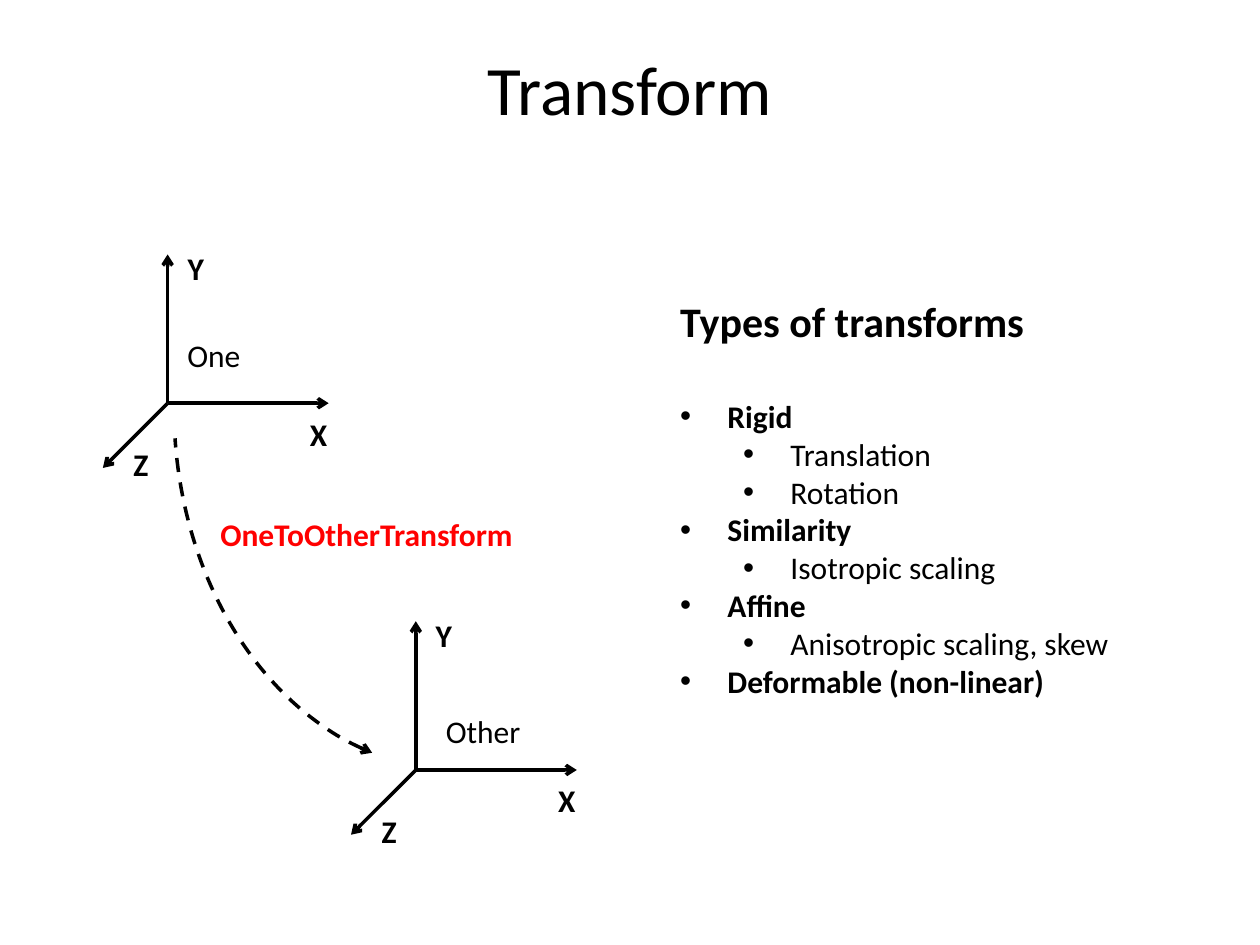
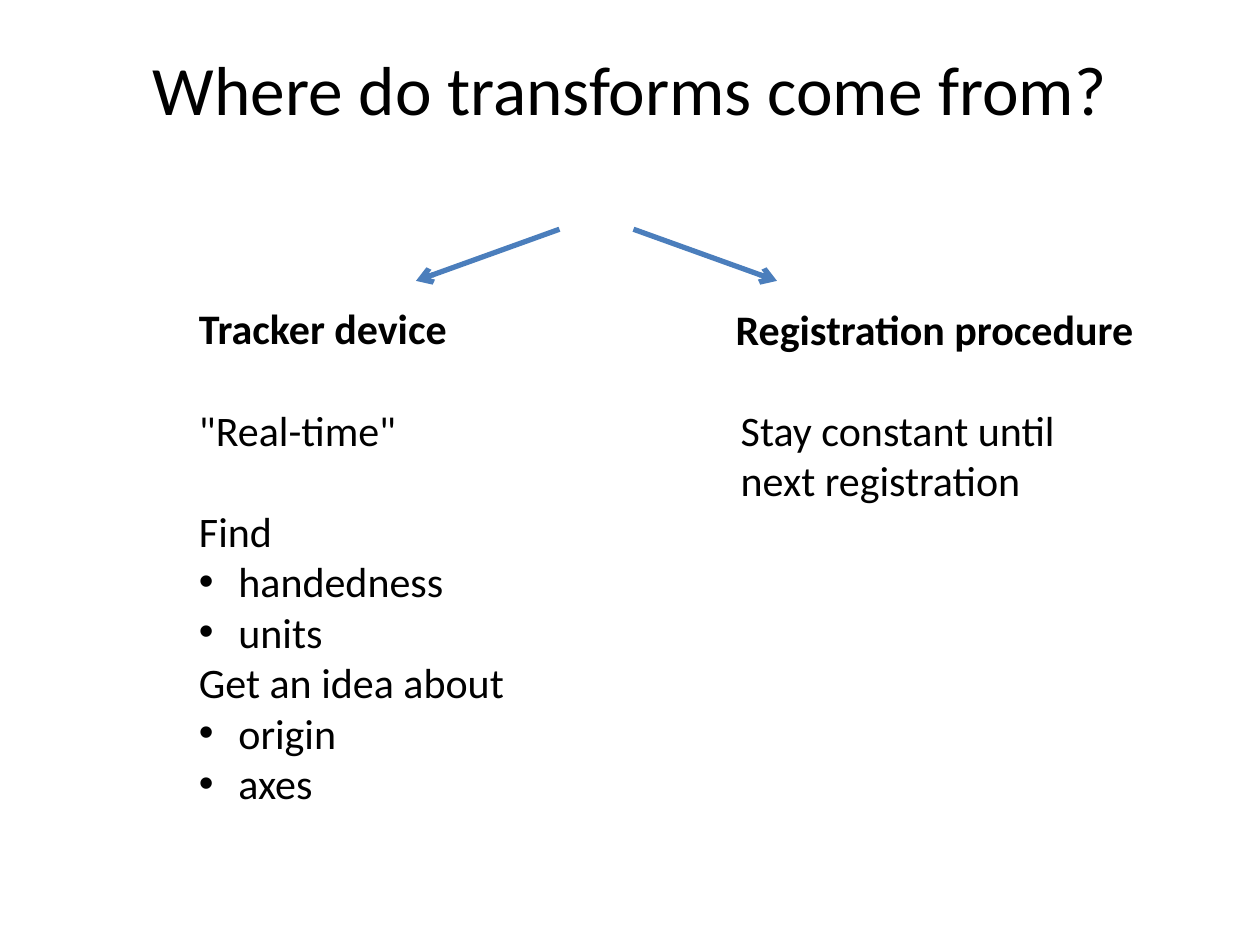
from lxml import etree
from pptx import Presentation
from pptx.dml.color import RGBColor
from pptx.enum import dml, shapes, text
from pptx.oxml import ns
from pptx.util import Pt

BLACK = RGBColor(0, 0, 0)
RED = RGBColor(255, 0, 0)
BLUE = RGBColor(0x4B, 0x7E, 0xBC)
FONT = "Calibri"
BODY, HEAD, TITLE = 18, 24, 39.6
GAP = 29


class Deck:
    def __init__(self):
        self.prs = Presentation()
        self.prs.slide_width = Pt(720)
        self.prs.slide_height = Pt(540)

    def page(self, title):
        self.slide = self.prs.slides.add_slide(self.prs.slide_layouts[6])
        frame = self.frame(36, 21.6, 648, 57, True)
        frame.vertical_anchor = text.MSO_ANCHOR.MIDDLE
        para = frame.paragraphs[0]
        para.alignment = text.PP_ALIGN.CENTER
        self.fill(para, title, TITLE)

    def frame(self, x, y, w, h, wrap=False):
        box = self.slide.shapes.add_textbox(Pt(x), Pt(y), Pt(w), Pt(h))
        box.text_frame.word_wrap = wrap
        return box.text_frame

    def fill(self, para, words, size, bold=False, color=BLACK):
        para.text = words
        font = para.font
        font.name, font.size, font.bold = FONT, Pt(size), bold
        font.color.rgb = color

    def label(self, words, x, y, w, h=28.8, size=BODY, bold=False,
              color=BLACK, wrap=False):
        frame = self.frame(x, y, w, h, wrap)
        self.fill(frame.paragraphs[0], words, size, bold, color)

    def bullet(self, para, left, hang):
        props = para._p.get_or_add_pPr()
        props.set("marL", str(Pt(left)))
        props.set("indent", str(-Pt(hang)))
        etree.SubElement(props, ns.qn("a:buFont")).set("typeface", "Arial")
        etree.SubElement(props, ns.qn("a:buChar")).set("char", "•")

    def items(self, x, y, w, h, rows, hang):
        frame = self.frame(x, y, w, h)
        for num, (words, size, bold, left, gap) in enumerate(rows):
            para = frame.add_paragraph() if num else frame.paragraphs[0]
            if left:
                self.bullet(para, left, hang)
                para.level = int(left > hang)
            if gap:
                para.space_before = Pt(gap)
            self.fill(para, words, size, bold)

    def tip(self, line, end):
        etree.SubElement(line.line._get_or_add_ln(), ns.qn(end)).set("type", "arrow")

    def arrow(self, x, y, dx, dy, color=BLACK, width=2):
        line = self.slide.shapes.add_connector(
            shapes.MSO_CONNECTOR.STRAIGHT, Pt(x), Pt(y), Pt(x + dx), Pt(y + dy))
        line.line.color.rgb = color
        line.line.width = Pt(width)
        self.tip(line, "a:tailEnd")
        etree.SubElement(line._element.spPr, ns.qn("a:effectLst"))

    def arc(self, x, y, w, h, start, end):
        arc = self.slide.shapes.add_shape(
            shapes.MSO_SHAPE.ARC, Pt(x), Pt(y), Pt(w), Pt(h))
        arc.adjustments[0], arc.adjustments[1] = start, end
        arc.shadow.inherit = False
        arc.fill.background()
        arc.line.color.rgb = BLACK
        arc.line.width = Pt(2)
        arc.line.dash_style = dml.MSO_LINE.DASH
        self.tip(arc, "a:headEnd")

    def axes(self, x, y):
        for dx, dy in ((0, -85), (92, 0), (-37, 37)):
            self.arrow(x, y, dx, dy)
        for name, dx, dy, w in (("X", 74.2, 3, 24.5), ("Y", 4.3, -91.4, 23.8),
                                ("Z", -26.6, 20.5, 23)):
            self.label(name, x + dx, y + dy, w, bold=True)


def kinds(deck):
    deck.page("Transform")
    deck.axes(95.8, 230.4)
    deck.axes(237.6, 440)
    deck.label("One", 100, 188.6, 45.4)
    deck.label("Other", 247.7, 403.2, 57.6)
    deck.arc(99.4, 25.2, 324.7, 414.7, 62.37, 104.2)
    deck.label("OneToOtherTransform", 118.8, 290.9, 182.9, bold=True, color=RED)
    hang, deep = 27, 63
    rows = [("Types of transforms", HEAD, True, 0, 0),
            ("Rigid", BODY, True, hang, GAP),
            ("Translation", BODY, False, deep, 0),
            ("Rotation", BODY, False, deep, 0),
            ("Similarity", BODY, True, hang, 0),
            ("Isotropic scaling", BODY, False, deep, 0),
            ("Affine", BODY, True, hang, 0),
            ("Anisotropic scaling, skew", BODY, False, deep, 0),
            ("Deformable (non-linear)", BODY, True, hang, 0)]
    deck.items(381.6, 165.6, 262, 239.8, rows, hang)


def origins(deck):
    deck.page("Where do transforms come from?")
    deck.label("Tracker device", 106.6, 169.2, 157.7, 36, HEAD, True)
    deck.label("Registration procedure", 413.3, 169.9, 244, 36, HEAD, True)
    for x, dx in ((319.7, -82), (362, 82)):
        deck.arrow(x, 131, dx, 29.5, BLUE, 3)
    hang = 22.5
    rows = [(words, HEAD, False, left, gap) for words, left, gap in (
        ('"Real-time"', 0, 0), ("Find", 0, GAP), ("handedness", hang, 0),
        ("units", hang, 0), ("Get an idea about", 0, 0),
        ("origin", hang, 0), ("axes", hang, 0))]
    deck.items(106.6, 227.5, 190.8, 239.8, rows, hang)
    deck.label("Stay constant until next registration",
               416.2, 227.5, 227.5, 65.5, HEAD, wrap=True)


def main():
    deck = Deck()
    kinds(deck)
    origins(deck)
    deck.prs.save("out.pptx")


if __name__ == "__main__":
    main()
